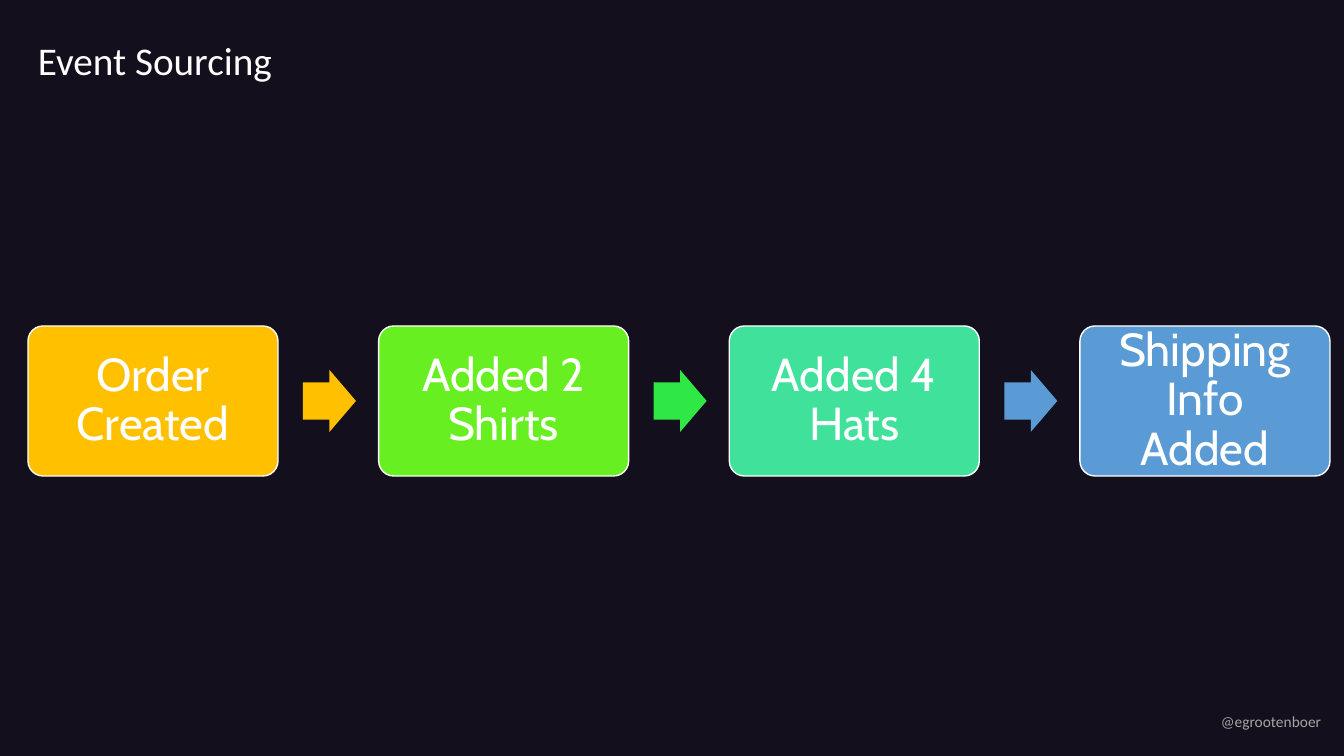
from dataclasses import dataclass

from pptx import Presentation
from pptx.dml.color import RGBColor
from pptx.enum.shapes import MSO_SHAPE
from pptx.enum.text import MSO_ANCHOR, PP_ALIGN
from pptx.util import Emu, Pt

PX_PER_INCH = 100.8


@dataclass(frozen=True)
class Theme:
    background: str = "130F1C"
    text: str = "FFFFFF"
    handle: str = "A5A5A5"
    font: str = "Calibri"
    event_font: str = "Cabin"
    title_size: int = 28
    event_size: int = 33
    handle_size: int = 11
    outline_width: int = 1


THEME = Theme()

# Event, colour of its box, colour of the arrow that follows it
EVENTS = [
    ("Order Created", "FFC000", "FFC000"),
    ("Added 2 Shirts", "67EF21", "30E845"),
    ("Added 4 Hats", "3FE19B", "5B9BD5"),
    ("Shipping Info Added", "5B9BD5", None),
]


def px(length):
    return Emu(round(length * 914400 / PX_PER_INCH))


def color(value):
    return RGBColor.from_string(value)


def write(shape, text, font, size, text_color, alignment=PP_ALIGN.LEFT, line_spacing=0.9):
    frame = shape.text_frame
    frame.text = text
    frame.vertical_anchor = MSO_ANCHOR.MIDDLE
    paragraph = frame.paragraphs[0]
    paragraph.alignment = alignment
    paragraph.line_spacing = line_spacing
    run_font = paragraph.runs[0].font
    run_font.name = font
    run_font.size = Pt(size)
    run_font.color.rgb = color(text_color)
    return frame


def add_filled_shape(slide, kind, box, fill):
    shape = slide.shapes.add_shape(kind, *map(px, box))
    shape.shadow.inherit = False
    shape.fill.solid()
    shape.fill.fore_color.rgb = color(fill)
    return shape


def add_title(slide, box, text):
    title = slide.shapes.add_textbox(*map(px, box))
    frame = write(title, text, THEME.font, THEME.title_size, THEME.text)
    frame.word_wrap = True


def add_handle(slide, box, text):
    handle = slide.shapes.add_textbox(*map(px, box))
    frame = write(handle, text, THEME.font, THEME.handle_size, THEME.handle, line_spacing=1.0)
    frame.word_wrap = False


def add_event(slide, box, text, fill):
    event = add_filled_shape(slide, MSO_SHAPE.ROUNDED_RECTANGLE, box, fill)
    event.adjustments[0] = 0.1
    event.line.color.rgb = color(THEME.text)
    event.line.width = Pt(THEME.outline_width)
    frame = write(event, text, THEME.event_font, THEME.event_size, THEME.text, PP_ALIGN.CENTER)
    frame.word_wrap = True
    frame.margin_left = frame.margin_right = px(14)
    frame.margin_top = frame.margin_bottom = px(14)


def add_arrow(slide, box, fill):
    arrow = add_filled_shape(slide, MSO_SHAPE.RIGHT_ARROW, box, fill)
    arrow.adjustments[0] = 0.6
    arrow.adjustments[1] = 0.5
    arrow.line.fill.background()


def add_event_chain(slide, box, events):
    """Spread the events evenly over the box, with an arrow in each gap."""
    left, top, width, height = box
    event_width, arrow_gap, arrow_width, arrow_height = 250, 25, 53, 62
    pitch = (width - event_width) / (len(events) - 1)
    arrow_top = top + (height - arrow_height) / 2
    for index, (text, fill, arrow_fill) in enumerate(events):
        event_left = left + index * pitch
        add_event(slide, (event_left, top, event_width, height), text, fill)
        if arrow_fill:
            arrow_left = event_left + event_width + arrow_gap
            add_arrow(slide, (arrow_left, arrow_top, arrow_width, arrow_height), arrow_fill)


def main():
    presentation = Presentation()
    presentation.slide_width = px(1344)
    presentation.slide_height = px(756)
    slide = presentation.slides.add_slide(presentation.slide_layouts[6])
    slide.background.fill.solid()
    slide.background.fill.fore_color.rgb = color(THEME.background)
    add_handle(slide, (1211, 707, 122, 29), "@egrootenboer")
    add_title(slide, (28, 9, 1302, 107), "Event Sourcing")
    add_event_chain(slide, (28, 326, 1302, 150), EVENTS)
    presentation.save("out.pptx")


if __name__ == "__main__":
    main()
